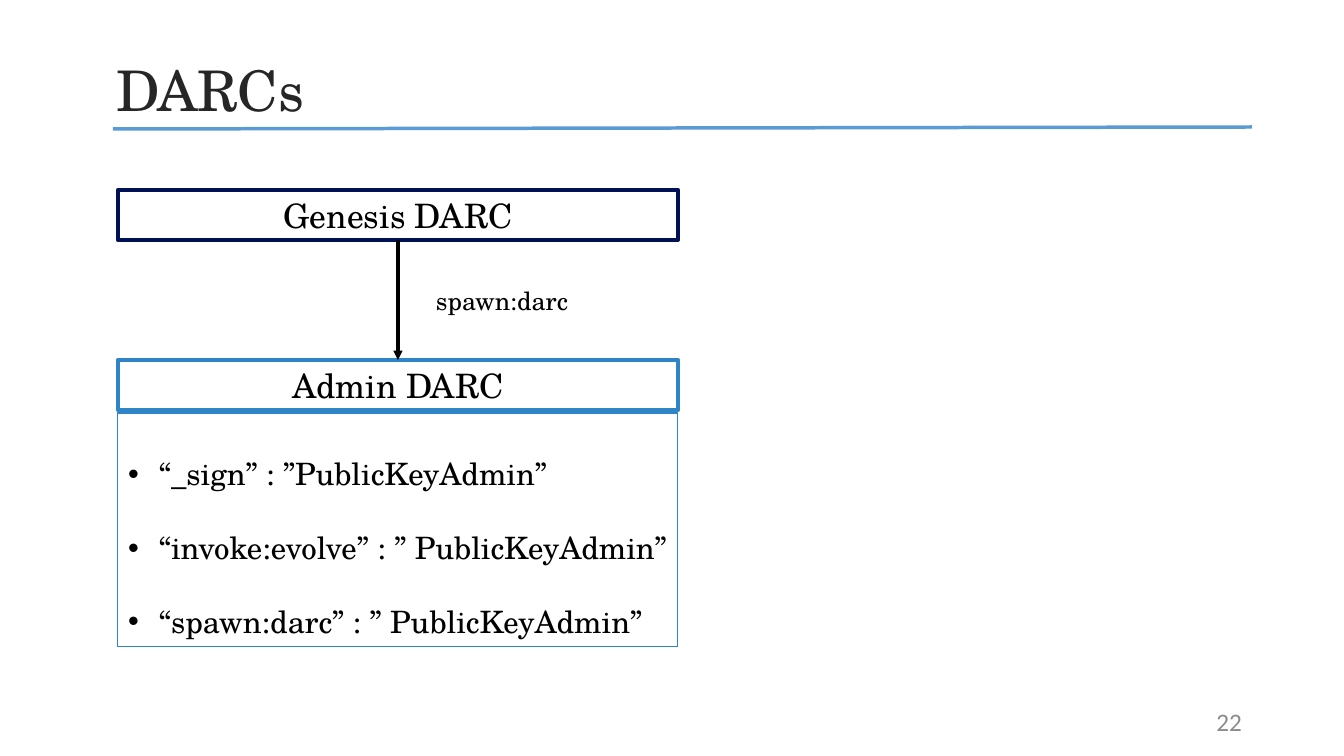
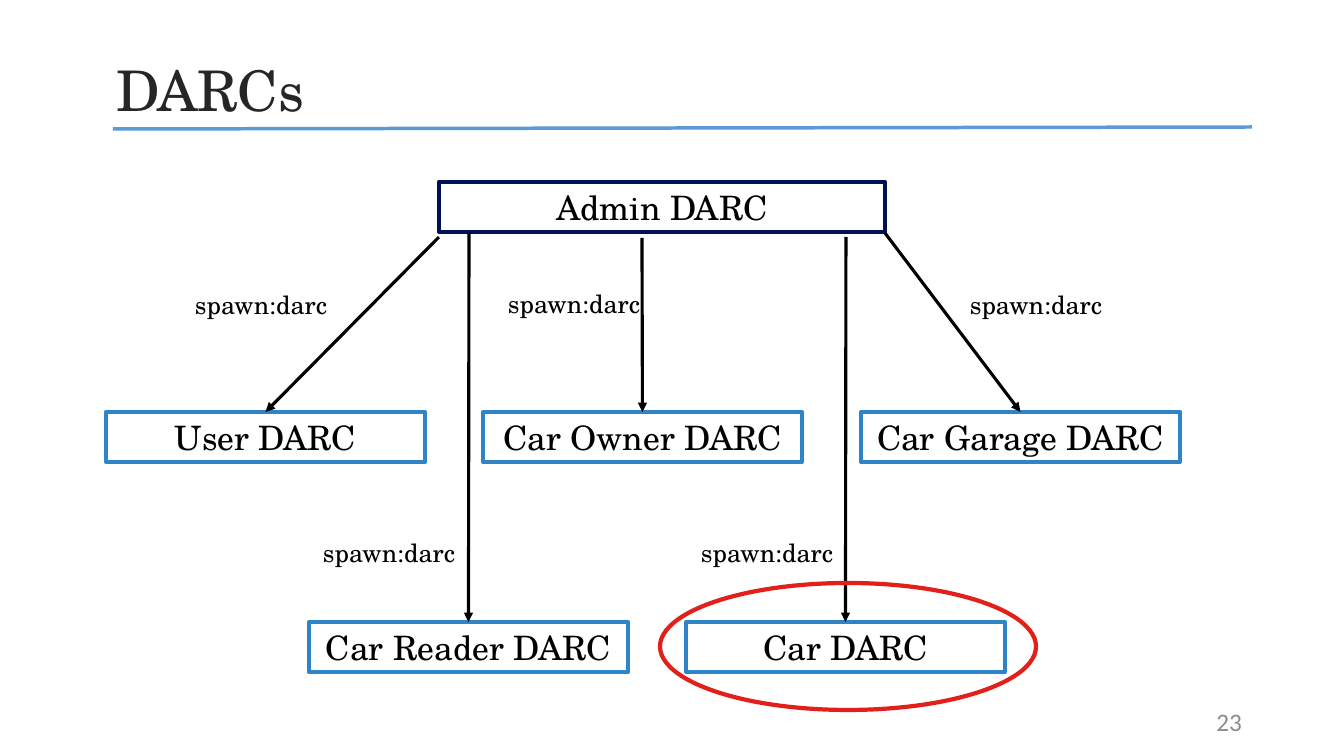
import copy

import lxml.etree
import pptx
import pptx.dml.color
import pptx.enum.shapes
import pptx.enum.text
import pptx.oxml.ns
import pptx.text.text
import pptx.util

PX = 914400 / 100.8
SERIF = "TeX Gyre Schola"
BLACK, NAVY, BLUE, RED = "000000", "001255", "2E84C6", "E22019"
RULE_BLUE, TITLE_GREY, NUMBER_GREY = "5B9BD5", "262626", "8C8C8C"
BOX_HEIGHT, CHILD_WIDTH = 50, 319
FIRST_NUMBER = 22
LEFT, CENTER = pptx.enum.text.PP_ALIGN.LEFT, pptx.enum.text.PP_ALIGN.CENTER
TOP, MIDDLE = pptx.enum.text.MSO_ANCHOR.TOP, pptx.enum.text.MSO_ANCHOR.MIDDLE
STRAIGHT = pptx.enum.shapes.MSO_CONNECTOR.STRAIGHT
qn = pptx.oxml.ns.qn


def colour(code):
    return pptx.dml.color.RGBColor.from_string(code)


def px(*lengths):
    return [pptx.util.Emu(round(length * PX)) for length in lengths]


# Each box: name, left, top, width, edge colour
# Each arrow: source, target, start point (None joins the source's bottom)
# Each label: left, top
diagrams = [
    {
        "layout": 1,
        "boxes": [("Genesis DARC", 118, 190, 560, NAVY),
                  ("Admin DARC", 118, 360, 560, BLUE)],
        "arrows": [("Genesis DARC", "Admin DARC", None)],
        "labels": [(426, 280)],
        "rights": ["“_sign” : ”PublicKeyAdmin”",
                   "“invoke:evolve” : ” PublicKeyAdmin”",
                   "“spawn:darc” : ” PublicKeyAdmin”"],
    },
    {
        "layout": 5,
        "boxes": [("Admin DARC", 439, 182, 446, NAVY),
                  ("User DARC", 106, 412, CHILD_WIDTH, BLUE),
                  ("Car Owner DARC", 483, 412, CHILD_WIDTH, BLUE),
                  ("Car Garage DARC", 861, 412, CHILD_WIDTH, BLUE),
                  ("Car Reader DARC", 309, 622, CHILD_WIDTH, BLUE),
                  ("Car DARC", 686, 622, CHILD_WIDTH, BLUE)],
        "arrows": [("Admin DARC", "User DARC", (439, 237)),
                   ("Admin DARC", "Car Reader DARC", (469, 233)),
                   ("Admin DARC", "Car Owner DARC", (642, 238)),
                   ("Admin DARC", "Car DARC", (846, 237)),
                   ("Admin DARC", "Car Garage DARC", (885, 233))],
        "labels": [(185, 284), (313, 532), (498, 283), (691, 532), (960, 284)],
        "highlight": (660, 583, 376, 127),
    },
]

prs = pptx.Presentation()
prs.slide_width, prs.slide_height = px(1344, 756)
prs.element.set("firstSlideNum", str(FIRST_NUMBER))

# Shared title, slide number and rule
master = prs.slide_master
for placeholder in master.placeholders:
    kind = placeholder.placeholder_format.type
    if kind == pptx.enum.shapes.PP_PLACEHOLDER.TITLE:
        place, anchor, size, grey, face = (106, 50, 1082, 128), TOP, 40, TITLE_GREY, SERIF
        style = master.element.xpath(".//p:titleStyle/a:lvl1pPr")[0]
        style.set("algn", "l")
    elif kind == pptx.enum.shapes.PP_PLACEHOLDER.SLIDE_NUMBER:
        place, anchor, size, grey, face = (950, 701, 302, 40), MIDDLE, 12, NUMBER_GREY, "Calibri"
        style = placeholder.element.xpath(".//a:lstStyle/a:lvl1pPr")[0]
        style.set("algn", "r")
    else:
        continue
    placeholder.left, placeholder.top, placeholder.width, placeholder.height = px(*place)
    placeholder.text_frame.vertical_anchor = anchor
    font = pptx.text.text.Font(style.find(qn("a:defRPr")))
    font.size, font.name = pptx.util.Pt(size), face
    font.color.rgb = colour(grey)

slides = [prs.slides.add_slide(prs.slide_layouts[diagram["layout"]]) for diagram in diagrams]

rule = slides[0].shapes.add_connector(STRAIGHT, *px(113, 129, 1252, 127))
rule.line.color.rgb = colour(RULE_BLUE)
rule.line.width = pptx.util.Pt(2.5)
lxml.etree.SubElement(rule.element.spPr, qn("a:effectLst"))
rule.element.xpath(".//p:cNvPr")[0].set("id", "20")
master.shapes.element.append(rule.element)

for number, (slide, diagram) in enumerate(zip(slides, diagrams), FIRST_NUMBER):
    shapes = slide.shapes
    shapes.title.text_frame.text = "DARCs"

    for placeholder in slide.slide_layout.placeholders:
        if placeholder.placeholder_format.type == pptx.enum.shapes.PP_PLACEHOLDER.SLIDE_NUMBER:
            page_number = copy.deepcopy(placeholder.element)
            page_number.xpath(".//p:cNvPr")[0].set("id", "20")
            page_number.xpath(".//a:fld/a:t")[0].text = str(number)
            shapes.element.append(page_number)

    texts = []
    boxes = {}
    for name, left, top, width, edge in diagram["boxes"]:
        box = shapes.add_shape(pptx.enum.shapes.MSO_SHAPE.RECTANGLE,
                               *px(left, top, width, BOX_HEIGHT))
        box.shadow.inherit = False
        box.fill.background()
        box.line.color.rgb = colour(edge)
        box.line.width = pptx.util.Pt(3)
        boxes[name] = box
        texts.append((box, name, 24, CENTER, MIDDLE))

    for source, target, start in diagram["arrows"]:
        arrow = shapes.add_connector(STRAIGHT, *px(*(start or (0, 0)), 0, 0))
        if start is None:
            arrow.begin_connect(boxes[source], 2)
        arrow.end_connect(boxes[target], 0)
        arrow.line.color.rgb = colour(BLACK)
        arrow.line.width = pptx.util.Pt(2.25)
        outline = arrow.element.spPr.find(qn("a:ln"))
        lxml.etree.SubElement(outline, qn("a:tailEnd"), type="triangle")
        lxml.etree.SubElement(arrow.element.spPr, qn("a:effectLst"))

    for left, top in diagram["labels"]:
        label = shapes.add_textbox(*px(left, top, 168, 40))
        texts.append((label, "spawn:darc", 18, LEFT, TOP))

    for holder, words, size, alignment, anchor in texts:
        frame = holder.text_frame
        frame.text = words
        frame.word_wrap = True
        frame.vertical_anchor = anchor
        paragraph = frame.paragraphs[0]
        paragraph.alignment = alignment
        font = paragraph.runs[0].font
        font.size, font.name = pptx.util.Pt(size), SERIF
        font.color.rgb = colour(BLACK)

    if "rights" in diagram:
        rights = slide.placeholders[1]
        rights.left, rights.top, rights.width, rights.height = px(118, 413, 560, 234)
        rights.line.color.rgb = colour(BLUE)
        rights.line.width = pptx.util.Pt(0.75)
        rights.text_frame.text = "\n".join(diagram["rights"])
        rights.text_frame.auto_size = pptx.enum.text.MSO_AUTO_SIZE.NONE
        for paragraph in rights.text_frame.paragraphs:
            paragraph.line_spacing = 2.0
            paragraph.space_before = pptx.util.Pt(0)
            indent = px(31)[0]
            paragraph._p.get_or_add_pPr().set("marL", str(indent))
            paragraph._p.get_or_add_pPr().set("indent", str(-indent))
            font = paragraph.runs[0].font
            font.size, font.name = pptx.util.Pt(22), SERIF
            font.color.rgb = colour(BLACK)

    if "highlight" in diagram:
        ring = shapes.add_shape(pptx.enum.shapes.MSO_SHAPE.OVAL, *px(*diagram["highlight"]))
        ring.shadow.inherit = False
        ring.fill.background()
        ring.line.color.rgb = colour(RED)
        ring.line.width = pptx.util.Pt(3)

prs.save("out.pptx")
